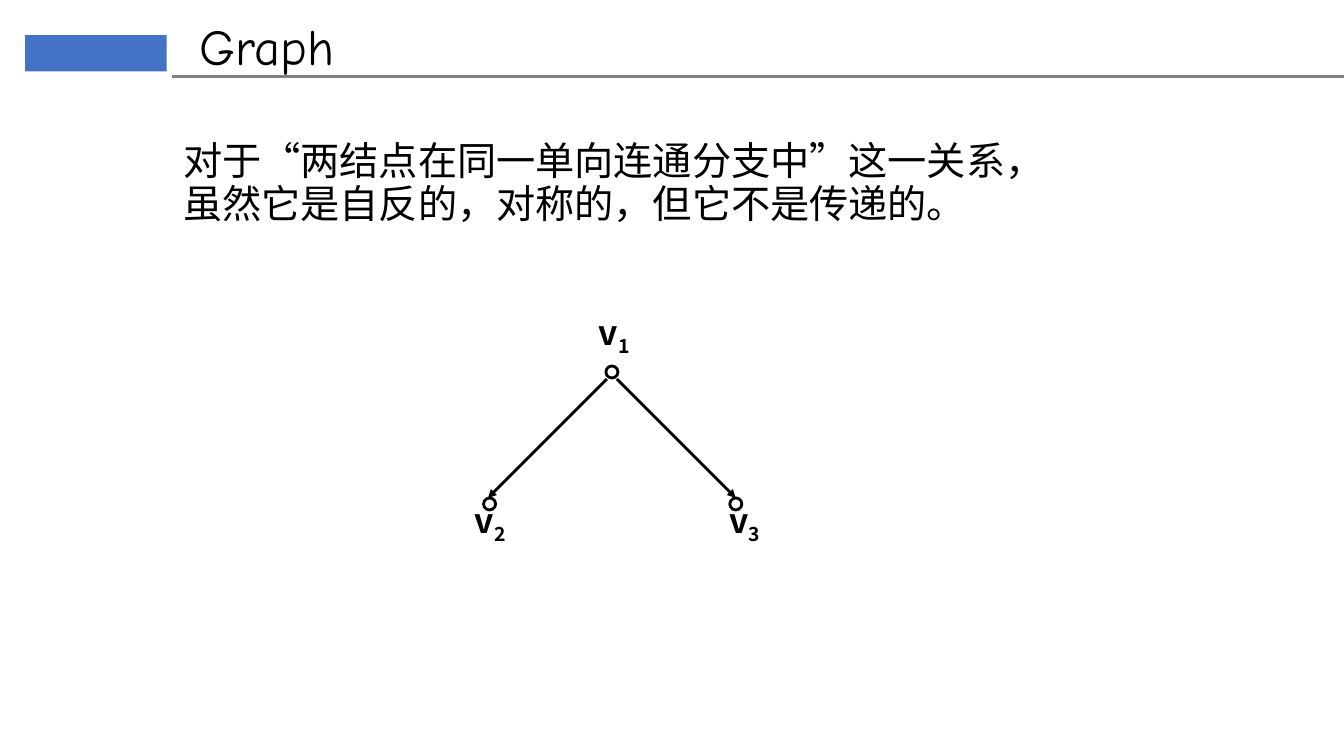
from lxml.etree import SubElement
from pptx import Presentation
from pptx.dml.color import RGBColor
from pptx.enum.shapes import MSO_CONNECTOR as Connector, MSO_SHAPE as Shape
from pptx.enum.text import MSO_AUTO_SIZE as AutoSize, PP_ALIGN as Align
from pptx.oxml.ns import qn
from pptx.util import Pt

BLACK = RGBColor(0, 0, 0)
GRAY = RGBColor(0x80, 0x80, 0x80)
BLUE = RGBColor(0x44, 0x72, 0xC4)
CJK_FONT = "Noto Sans CJK SC"
PAGE_WIDTH, PAGE_HEIGHT = 960, 540


def add_text_box(shapes, left, top, width, height, insets=(7.2, 3.6)):
    box = shapes.add_textbox(Pt(left), Pt(top), Pt(width), Pt(height))
    frame = box.text_frame
    frame.word_wrap = True
    frame.auto_size = AutoSize.NONE
    frame.margin_left = frame.margin_right = Pt(insets[0])
    frame.margin_top = frame.margin_bottom = Pt(insets[1])
    return frame


def add_span(para, text, size, font, bold=False):
    """Add a run with its Latin and East Asian fonts; return its properties."""
    span = para.add_run()
    span.text = text
    span.font.size = Pt(size)
    span.font.name = font
    span.font.bold = bold
    span.font.color.rgb = BLACK
    props = span.font._element
    SubElement(props, qn("a:ea")).set("typeface", font)
    return props


def add_line(shapes, start, end, color, arrow=False):
    line = shapes.add_connector(Connector.STRAIGHT, *map(Pt, start + end))
    line.line.color.rgb = color
    line.line.width = Pt(2)
    if arrow:
        SubElement(line.line._get_or_add_ln(), qn("a:tailEnd")).set("type", "triangle")
    SubElement(line._element.spPr, qn("a:effectLst"))


def add_header(page, left, top, title):
    """Place a plain block, the title and the rule below it."""
    block = page.shapes.add_shape(Shape.RECTANGLE, Pt(left), Pt(top), Pt(101), Pt(26))
    block.shadow.inherit = False
    block.fill.solid()
    block.fill.fore_color.rgb = BLUE
    block.line.fill.background()
    rule_y = top + 29.8
    add_line(page.shapes, (left + 105.2, rule_y), (PAGE_WIDTH, rule_y), GRAY)
    frame = add_text_box(page.shapes, left + 117.4, top - 17.8, 620.6, 51.1)
    add_span(frame.paragraphs[0], title, 36, "Comic Neue")


def add_statement(page, left, top, width, height, text):
    para = add_text_box(page.shapes, left, top, width, height).paragraphs[0]
    para.line_spacing = 0.9
    para.space_before = Pt(10)
    add_span(para, text, 28, CJK_FONT)


def add_node(shapes, x, y, radius=4.3):
    node = shapes.add_shape(Shape.OVAL, Pt(x - radius), Pt(y - radius),
                            Pt(2 * radius), Pt(2 * radius))
    node.shadow.inherit = False
    node.fill.background()
    node.line.color.rgb = BLACK
    node.line.width = Pt(2)


def add_node_label(shapes, left, top, number):
    para = add_text_box(shapes, left, top, 33.8, 42.5, (0, 0)).paragraphs[0]
    para.alignment = Align.CENTER
    add_span(para, "v", 24, CJK_FONT, bold=True)
    add_span(para, number, 24, CJK_FONT, bold=True).set("baseline", "-25000")


def add_graph(page, left, top):
    """Draw a root with arrows to two children, as one group."""
    shapes = page.shapes.add_group_shape().shapes
    root_x, root_y = left + 103.7, top + 43.2
    for side in (1, -1):
        add_line(shapes, (root_x + side * 3.6, root_y + 5),
                 (root_x + side * 88.5, root_y + 90), BLACK, arrow=True)
    # Node offset from the root, then label offset from the node
    nodes = (("1", 0, 0, -15.1, -43.2),
             ("2", -87.4, 94.3, -16.3, -2.9),
             ("3", 88.5, 94.3, -10.6, -2.9))
    for number, dx, dy, label_dx, label_dy in nodes:
        x, y = root_x + dx, root_y + dy
        add_node(shapes, x, y)
        add_node_label(shapes, x + label_dx, y + label_dy, number)


def main():
    deck = Presentation()
    deck.slide_width, deck.slide_height = Pt(PAGE_WIDTH), Pt(PAGE_HEIGHT)
    page = deck.slides.add_slide(deck.slide_layouts[6])
    add_header(page, 18, 25, "Graph")
    add_statement(page, 123.8, 97.9, 635, 87.8,
                  "对于“两结点在同一单向连通分支中”这一关系，"
                  "虽然它是自反的，对称的，但它不是传递的。")
    add_graph(page, 333.4, 222.5)
    deck.save("out.pptx")


if __name__ == "__main__":
    main()
